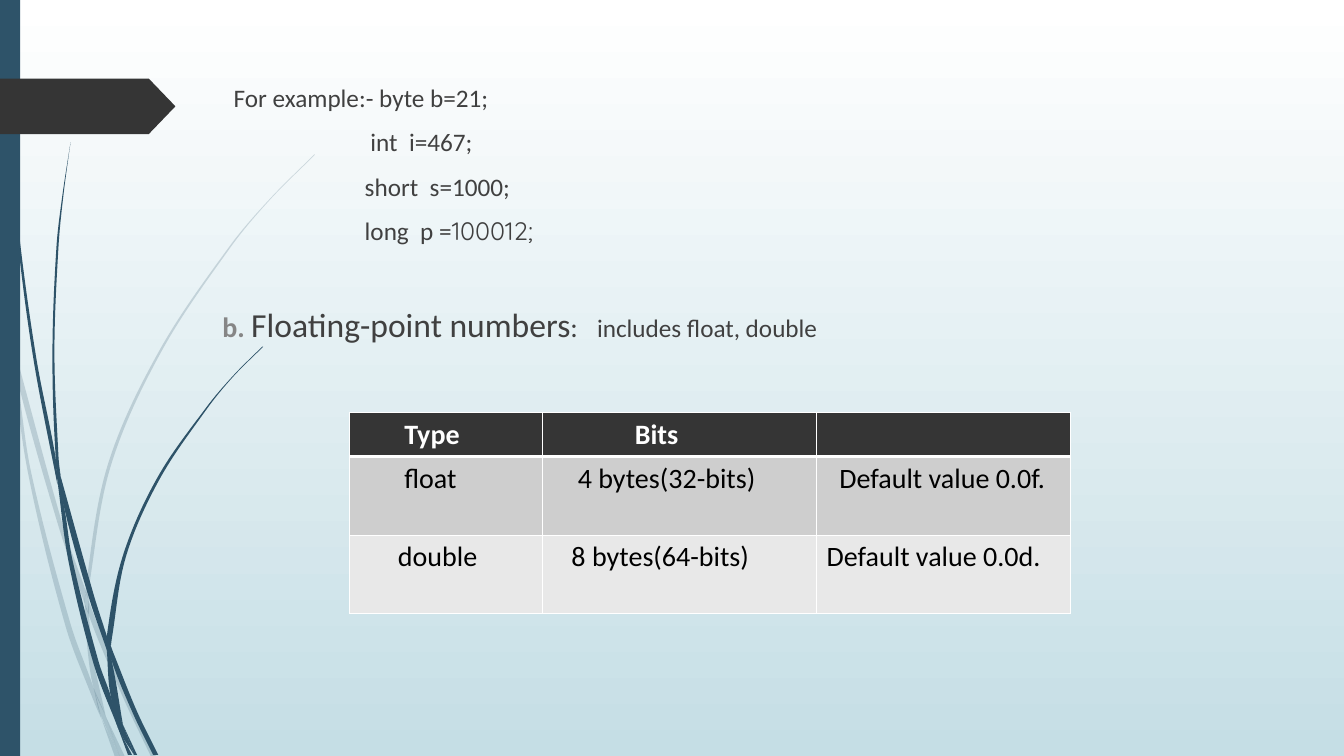
from dataclasses import dataclass
from math import dist

from lxml.etree import SubElement
from pptx import Presentation
from pptx.dml.color import RGBColor as RGB
from pptx.enum.shapes import MSO_SHAPE as SHAPE
from pptx.oxml.ns import qn
from pptx.util import Emu, Inches, Pt


@dataclass(frozen=True)
class Theme:
    font: str = "Calibri"
    digits_font: str = "Quicksand"
    sky: str = "C5DEE5"
    white: str = "FFFFFF"
    blue: str = "2E5369"
    dark: str = "353535"
    text: str = "404040"
    label: str = "868686"
    black: str = "000000"
    bands: tuple = ("CECECE", "E8E8E8")
    body: int = 18
    medium: int = 20
    heading: int = 24


T = Theme()
SPACE = 0.226  # width of one blank, as a share of the type size

# Grass: left and right edge of each piece of a blade, from the top down, in inches
PALE_GRASS = [
    ([(0, 2.99), (.1, 3.44), (.11, 3.5)], [(0, 2.82), (.09, 3.22), (.11, 3.5)]),
    ([(.14, 3.45), (.17, 3.76), (.58, 5.22), (.84, 5.99)], [(.14, 3.45), (.62, 5.2), (.85, 5.86)]),
    ([(.88, 5.96), (.88, 6.1), (1.23, 6.94), (1.5, 7.51)],
     [(.88, 5.96), (.92, 6.07), (1.27, 6.92), (1.55, 7.51)]),
    ([(1.05, 7.11), (1.19, 7.51)], [(1.05, 7.11), (1.24, 7.51)]),
    ([(.11, 3.5), (.28, 4.7), (.65, 6.21), (.92, 6.93), (1.01, 7.14)],
     [(.11, 3.5), (.17, 3.76), (.31, 4.69), (.7, 6.19), (.93, 6.83), (1.01, 7.14)]),
    ([(.84, 5.99), (.87, 6.46), (.93, 6.83), (1.05, 7.11)],
     [(.84, 5.99), (.88, 6.1), (.91, 6.46), (1.05, 7.11)]),
    ([(3.12, 1.53), (2.68, 1.97), (2.28, 2.44), (1.58, 3.48), (1.07, 4.61), (.85, 5.84), (.88, 5.96)],
     [(3.12, 1.54), (2.68, 1.98), (2.29, 2.45), (1.6, 3.49), (1.1, 4.62), (.88, 5.84), (.88, 5.96)]),
    ([(1.01, 7.14), (1.14, 7.51)], [(1.01, 7.14), (1.19, 7.51)]),
    ([(.85, 5.86), (.84, 5.99), (.88, 6.1)], [(.85, 5.86), (.88, 5.96), (.88, 6.1)]),
    ([(.93, 6.83), (.99, 7.07), (1.19, 7.51)], [(.93, 6.83), (1.05, 7.11), (1.19, 7.51)]),
]
DARK_GRASS = [
    ([(.03, 0), (.04, .48), (.07, 1.1), (.17, 2.33), (.33, 3.55), (.57, 4.81)],
     [(.04, 0), (.05, .48), (.08, 1.09), (.19, 2.32), (.36, 3.55), (.55, 4.53), (.57, 4.81)]),
    ([(.6, 4.72), (.64, 5.05), (.88, 5.92), (1.06, 6.45)], [(.6, 4.72), (.93, 5.9), (1.06, 6.31)]),
    ([(1.1, 6.41), (1.11, 6.56), (1.32, 7.08), (1.52, 7.49)],
     [(1.1, 6.41), (1.13, 6.49), (1.36, 7.06), (1.57, 7.49)]),
    ([(.57, 4.77), (.68, 5.57), (.93, 6.59), (1.17, 7.22)],
     [(.57, 4.77), (.64, 5.05), (.72, 5.56), (.98, 6.57), (1.1, 6.91), (1.17, 7.22)]),
    ([(.7, 1.41), (.62, 1.93), (.56, 2.45), (.52, 3.49), (.55, 4.49), (.6, 4.72)],
     [(.7, 1.41), (.63, 1.93), (.58, 2.45), (.54, 3.49), (.58, 4.53), (.6, 4.72)]),
    ([(1.22, 7.19), (1.33, 7.49)], [(1.22, 7.19), (1.36, 7.49)]),
    ([(.55, 4.49), (.57, 4.77), (.64, 5.05)], [(.55, 4.49), (.6, 4.72), (.64, 5.05)]),
    ([(2.6, 3.44), (2.31, 3.73), (2.04, 4.05), (1.56, 4.74), (1.22, 5.51), (1.06, 6.31), (1.1, 6.41)],
     [(2.61, 3.44), (2.31, 3.74), (2.05, 4.06), (1.58, 4.76), (1.25, 5.52), (1.11, 6.33), (1.1, 6.41)]),
    ([(1.17, 7.22), (1.27, 7.49)], [(1.17, 7.22), (1.31, 7.49)]),
    ([(1.06, 6.45), (1.1, 6.91), (1.22, 7.19)], [(1.06, 6.45), (1.11, 6.56), (1.22, 7.19)]),
    ([(1.06, 6.31), (1.06, 6.45), (1.11, 6.56)], [(1.06, 6.31), (1.1, 6.41), (1.11, 6.56)]),
    ([(1.1, 6.91), (1.17, 7.22), (1.33, 7.49)], [(1.1, 6.91), (1.22, 7.19), (1.33, 7.49)]),
]

# Body lines: indent in blanks, space before, runs of (text, size, colour, bold, font)
PLAIN = (T.body, T.text, False, T.font)
BODY = [
    (3, 0, [("For example:- byte b=21;", *PLAIN)]),
    (27, 10, [("int  i=467;", *PLAIN)]),
    (26, 10, [("short  s=1000;", *PLAIN)]),
    (26, 10, [("long  p =", *PLAIN), ("100012;", T.body, T.text, False, T.digits_font)]),
    (1, 42, [("b. ", T.medium, T.label, True, T.font),
             ("Floating-point numbers", T.heading, T.text, False, T.font),
             (":   ", T.medium, T.text, False, T.font), ("includes float, double", *PLAIN)]),
]

# Table cells: indent in blanks, text
FLOAT_TYPES = [
    [(7, "Type"), (13, "Bits"), (0, "")],
    [(7, "float"), (4, "4 bytes(32-bits)"), (2, "Default value 0.0f.")],
    [(6, "double"), (3, "8 bytes(64-bits)"), (0, "Default value 0.0d.")],
]


def paint(s, color):
    s.shadow.inherit = False
    s.fill.solid()
    s.fill.fore_color.rgb = RGB.from_string(color)
    s.line.fill.background()


def style(r, size, color, bold, font):
    f = r.font
    f.size, f.bold, f.name = Pt(size), bold, font
    f.color.rgb = RGB.from_string(color)


def indent(p, blanks, size):
    pPr = p._p.get_or_add_pPr()
    pPr.set("marL", str(Pt(blanks * SPACE * size)))
    pPr.set("indent", "0")


def bend(s, corner):
    """Turn the straight sides into curves, except the one after the corner."""
    outline = s._element.find(".//" + qn("a:path"))
    knots = [(int(pt.get("x")), int(pt.get("y"))) for pt in outline.iter(qn("a:pt"))]
    for i, side in enumerate(outline.findall(qn("a:lnTo"))):
        if i == corner:
            continue
        first, last = (0, corner) if i < corner else (corner + 1, len(knots) - 1)
        b, c = knots[i], knots[i + 1]
        before, after = knots[max(i - 1, first)], knots[min(i + 2, last)]
        side.tag = qn("a:cubicBezTo")
        for n, (knot, start, end, sign) in enumerate(((b, before, c, 1), (c, b, after, -1))):
            reach = sign * dist(b, c) / 3 / max(dist(start, end), 1)
            pt = SubElement(side, qn("a:pt"))
            for axis, k, u, v in zip("xy", knot, start, end):
                pt.set(axis, str(round(k + (v - u) * reach)))
            side.insert(n, pt)


def add_grass(slide, box, edges, opacity):
    left_edge, right_edge = edges
    outline = [(box[0] + Inches(x), box[1] + Inches(y)) for x, y in left_edge + right_edge[::-1]]
    builder = slide.shapes.build_freeform(*outline[0])
    builder.add_line_segments(outline[1:], close=True)
    s = builder.convert_to_shape()
    bend(s, len(left_edge) - 1)
    paint(s, T.blue)
    if opacity < 100:
        color = s.fill._xPr.find(qn("a:solidFill"))[0]
        SubElement(color, qn("a:alpha")).set("val", str(opacity * 1000))


def add_backdrop(slide, box):
    left, top, width, height = box
    # Sky
    fill = slide.background.fill
    fill.gradient()
    fill.gradient_angle = 270
    for stop, color in zip(fill.gradient_stops, (T.white, T.sky)):
        stop.color.rgb = RGB.from_string(color)
    # Grass
    for pieces, opacity in ((PALE_GRASS, 20), (DARK_GRASS, 100)):
        for edges in pieces:
            add_grass(slide, box, edges, opacity)
    # Side bar and page marker
    bar = slide.shapes.add_shape(SHAPE.RECTANGLE, left, top, Emu(int(width * .015)), height)
    paint(bar, T.blue)
    marker = slide.shapes.add_shape(SHAPE.PENTAGON, left, top + Inches(.78), Inches(1.74), Inches(.55))
    marker.adjustments[0] = .48
    paint(marker, T.dark)


def add_body(slide, box):
    tf = slide.shapes.add_textbox(*box).text_frame
    tf.word_wrap = True
    for i, (blanks, before, runs) in enumerate(BODY):
        p = tf.add_paragraph() if i else tf.paragraphs[0]
        p.space_before = Pt(before)
        indent(p, blanks, T.body)
        for text, *look in runs:
            r = p.add_run()
            r.text = text
            style(r, *look)


def add_border(cell, side, points):
    ln = SubElement(cell._tc.get_or_add_tcPr(), qn("a:" + side))
    ln.set("w", str(Pt(points)))
    SubElement(SubElement(ln, qn("a:solidFill")), qn("a:srgbClr")).set("val", T.white)


def add_type_table(slide, box):
    table = slide.shapes.add_table(3, 3, *box).table
    for column, width in zip(table.columns, (1.91, 2.72, 2.52)):
        column.width = Inches(width)
    for row, height in zip(table.rows, (.44, .78, .78)):
        row.height = Inches(height)
    for i, line in enumerate(FLOAT_TYPES):
        header = i == 0
        for j, (blanks, text) in enumerate(line):
            cell = table.cell(i, j)
            for side in ("lnL", "lnR", "lnT", "lnB"):
                add_border(cell, side, 3 if (i, side) in ((0, "lnB"), (1, "lnT")) else 1)
            cell.fill.solid()
            cell.fill.fore_color.rgb = RGB.from_string(T.dark if header else T.bands[i - 1])
            p = cell.text_frame.paragraphs[0]
            p.text = text
            indent(p, blanks, T.medium)
            for r in p.runs:
                style(r, T.medium, T.white if header else T.black, header, T.font)


def main():
    prs = Presentation()
    prs.slide_width, prs.slide_height = Inches(13.33), Inches(7.5)
    slide = prs.slides.add_slide(prs.slide_layouts[6])
    add_backdrop(slide, (0, 0, prs.slide_width, prs.slide_height))
    add_body(slide, [Inches(n) for n in (2.05, .77, 9.75, 6.24)])
    add_type_table(slide, [Inches(n) for n in (3.47, 4.09, 7.15, 2)])
    prs.save("out.pptx")


if __name__ == "__main__":
    main()
